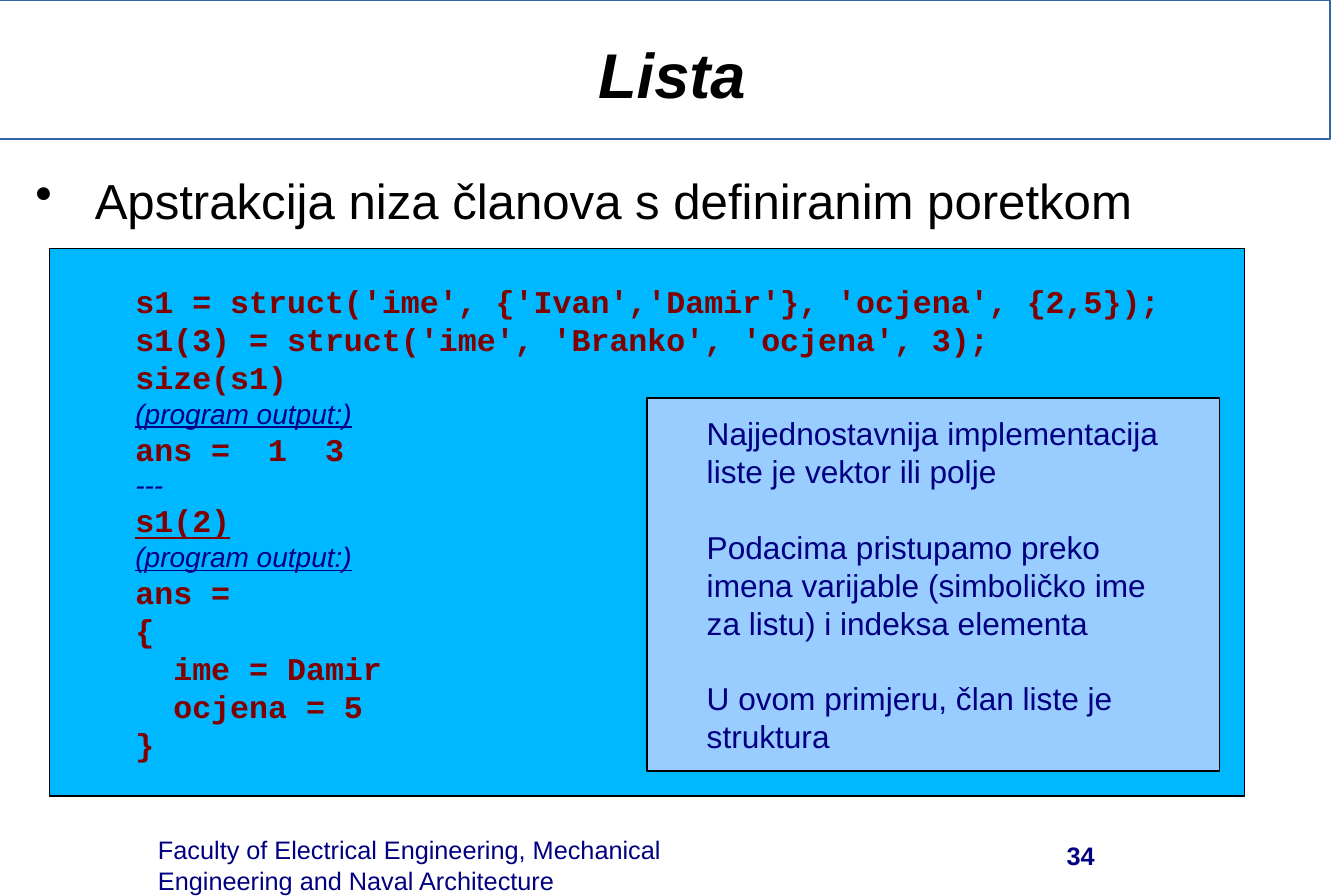
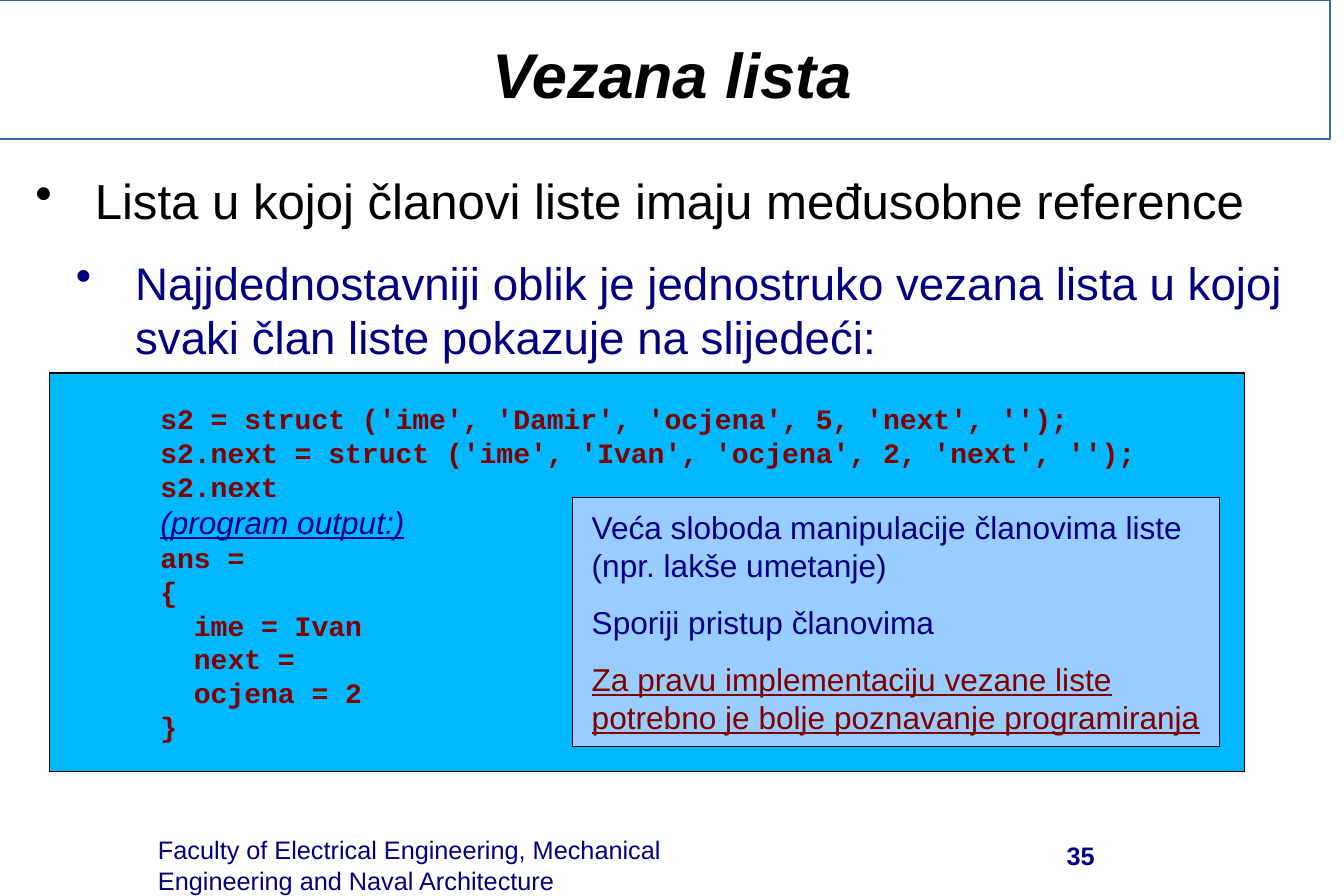
from collections import namedtuple
from dataclasses import dataclass

from lxml import etree
from pptx import Presentation
from pptx.dml.color import RGBColor
from pptx.enum import shapes, text
from pptx.util import Pt

Box = namedtuple("Box", "left top width height")
Style = namedtuple("Style", "size color font bold italic underline",
                   defaults=("Arial", False, False, False))


@dataclass(frozen=True)
class Theme:
    black: str = "000000"
    white: str = "FFFFFF"
    navy: str = "000080"
    maroon: str = "800000"
    code_fill: str = "00B8FF"
    note_fill: str = "99CCFF"
    band_line: str = "3465A4"
    mono: str = "Courier New"
    title: float = 36
    bullets: tuple = (28, 26)
    large: float = 18
    small: float = 16
    footer: float = 14.4
    leading: float = 1.2


THEME = Theme()
PAGE = Box(0, 0, 765.4, 510.5)
FACULTY = "Faculty of Electrical Engineering, Mechanical Engineering and Naval Architecture"
NOTE = Style(THEME.large, THEME.navy)
WARNING = Style(THEME.large, THEME.maroon, underline=True)


def code_style(size, underline=False):
    return Style(size, THEME.maroon, THEME.mono, True, underline=underline)


def output_style(size, underline=True):
    return Style(size, THEME.navy, italic=True, underline=underline)


def write(paragraph, words, style):
    paragraph.text = words
    paragraph.line_spacing = Pt(round(style.size * THEME.leading, 2))
    font = paragraph.font
    font.name, font.size = style.font, Pt(style.size)
    font.bold, font.italic, font.underline = style.bold, style.italic, style.underline
    font.color.rgb = RGBColor.from_string(style.color)


def prepare(frame, anchor, inset=0):
    frame.word_wrap = True
    frame.vertical_anchor = anchor
    frame.margin_left = Pt(inset)
    frame.margin_right = frame.margin_top = frame.margin_bottom = 0


def add_frame(slide, box, anchor=text.MSO_ANCHOR.MIDDLE):
    frame = slide.shapes.add_textbox(*map(Pt, box)).text_frame
    prepare(frame, anchor)
    return frame


def add_panel(slide, box, fill, line):
    panel = slide.shapes.add_shape(shapes.MSO_SHAPE.RECTANGLE, *map(Pt, box))
    panel.shadow.inherit = False
    panel.fill.solid()
    panel.fill.fore_color.rgb = RGBColor.from_string(fill)
    panel.line.color.rgb = RGBColor.from_string(line)
    panel.line.width = Pt(0)
    return panel


def add_lines(slide, box, fill, inset, lines):
    """Panel with one paragraph per (words, style, space before)."""
    frame = add_panel(slide, box, fill, THEME.black).text_frame
    prepare(frame, text.MSO_ANCHOR.MIDDLE, inset)
    for number, (words, style, gap) in enumerate(lines):
        paragraph = frame.add_paragraph() if number else frame.paragraphs[0]
        paragraph.alignment = text.PP_ALIGN.LEFT
        if gap:
            paragraph.space_before = Pt(gap)
        write(paragraph, words, style)


def add_code(slide, box, inset, lines):
    add_lines(slide, box, THEME.code_fill, inset,
              [(words, style, 0) for words, style in lines])


def add_note(slide, box, inset, gap, groups):
    lines = [(words, style, gap if group and not row else 0)
             for group, (style, rows) in enumerate(groups)
             for row, words in enumerate(rows)]
    add_lines(slide, box, THEME.note_fill, inset, lines)


def add_bullets(slide, box, items):
    frame = add_frame(slide, box, text.MSO_ANCHOR.TOP)
    levels = ((39.6, 14.2, THEME.black), (62.6, 11.3, THEME.navy))
    for level, words in enumerate(items):
        indent, after, color = levels[level]
        paragraph = frame.add_paragraph() if level else frame.paragraphs[0]
        paragraph.level = level
        paragraph.space_after = Pt(after)
        # Hanging bullet
        properties = paragraph._p.get_or_add_pPr()
        properties.set("marL", str(Pt(indent)))
        properties.set("indent", str(Pt(-33.8)))
        namespace = properties.nsmap["a"]
        etree.SubElement(properties, f"{{{namespace}}}buChar", char="•")
        write(paragraph, words, Style(THEME.bullets[level], color))


def add_page(deck, title, number, bullets):
    slide = deck.slides.add_slide(deck.slide_layouts[6])
    # Title band
    add_panel(slide, Box(-8, 0, PAGE.width, 79.2), THEME.white, THEME.band_line)
    heading = add_frame(slide, Box(0, 0, PAGE.width, 83.5)).paragraphs[0]
    heading.alignment = text.PP_ALIGN.CENTER
    write(heading, title, Style(THEME.title, THEME.black, bold=True, italic=True))
    # Footer
    faculty = add_frame(slide, Box(90, 475.5, 293, 35), text.MSO_ANCHOR.TOP)
    write(faculty.paragraphs[0], FACULTY, Style(THEME.footer, THEME.navy))
    page_number = add_frame(slide, Box(415.4, 470, 208, 35)).paragraphs[0]
    page_number.alignment = text.PP_ALIGN.RIGHT
    write(page_number, str(number), Style(THEME.footer, THEME.navy, bold=True))
    # Body
    add_bullets(slide, Box(14.4, 97.2, 737.3, 355.7), bullets)
    return slide


def add_list_slide(deck):
    slide = add_page(deck, "Lista", 34,
                     ["Apstrakcija niza članova s definiranim poretkom"])
    code, output = code_style(THEME.large), output_style(THEME.small)
    add_code(slide, Box(28.3, 141.7, 680.4, 311.8), 48.8, [
        ("s1 = struct('ime', {'Ivan','Damir'}, 'ocjena', {2,5});", code),
        ("s1(3) = struct('ime', 'Branko', 'ocjena', 3);", code),
        ("size(s1)", code),
        ("(program output:)", output),
        ("ans =  1  3", code),
        ("---", output_style(THEME.small, underline=False)),
        ("s1(2)", code_style(THEME.large, underline=True)),
        ("(program output:)", output),
        ("ans =", code),
        ("{", code),
        ("  ime = Damir", code),
        ("  ocjena = 5", code),
        ("}", code),
    ])
    add_note(slide, Box(368.5, 226.8, 326, 212.6), 34, 21.6, [
        (NOTE, ["Najjednostavnija implementacija", "liste je vektor ili polje"]),
        (NOTE, ["Podacima pristupamo preko", "imena varijable (simboličko ime",
                "za listu) i indeksa elementa"]),
        (NOTE, ["U ovom primjeru, član liste je", "struktura"]),
    ])


def add_linked_list_slide(deck):
    slide = add_page(deck, "Vezana lista", 35, [
        "Lista u kojoj članovi liste imaju međusobne reference",
        "Najjdednostavniji oblik je jednostruko vezana lista u kojoj "
        "svaki član liste pokazuje na slijedeći:",
    ])
    code = code_style(THEME.small)
    add_code(slide, Box(28.3, 212.6, 680.4, 226.8), 63, [
        ("s2 = struct ('ime', 'Damir', 'ocjena', 5, 'next', '');", code),
        ("s2.next = struct ('ime', 'Ivan', 'ocjena', 2, 'next', '');", code),
        ("s2.next", code),
        ("(program output:)", output_style(THEME.large)),
        ("ans =", code),
        ("{", code),
        ("  ime = Ivan", code),
        ("  next =", code),
        ("  ocjena = 2", code),
        ("}", code),
    ])
    add_note(slide, Box(326, 283.5, 368.5, 141.7), 11, 10.8, [
        (NOTE, ["Veća sloboda manipulacije članovima liste", "(npr. lakše umetanje)"]),
        (NOTE, ["Sporiji pristup članovima"]),
        (WARNING, ["Za pravu implementaciju vezane liste",
                   "potrebno je bolje poznavanje programiranja"]),
    ])


def main():
    deck = Presentation()
    deck.slide_width, deck.slide_height = Pt(PAGE.width), Pt(PAGE.height)
    add_list_slide(deck)
    add_linked_list_slide(deck)
    deck.save("out.pptx")


if __name__ == "__main__":
    main()
